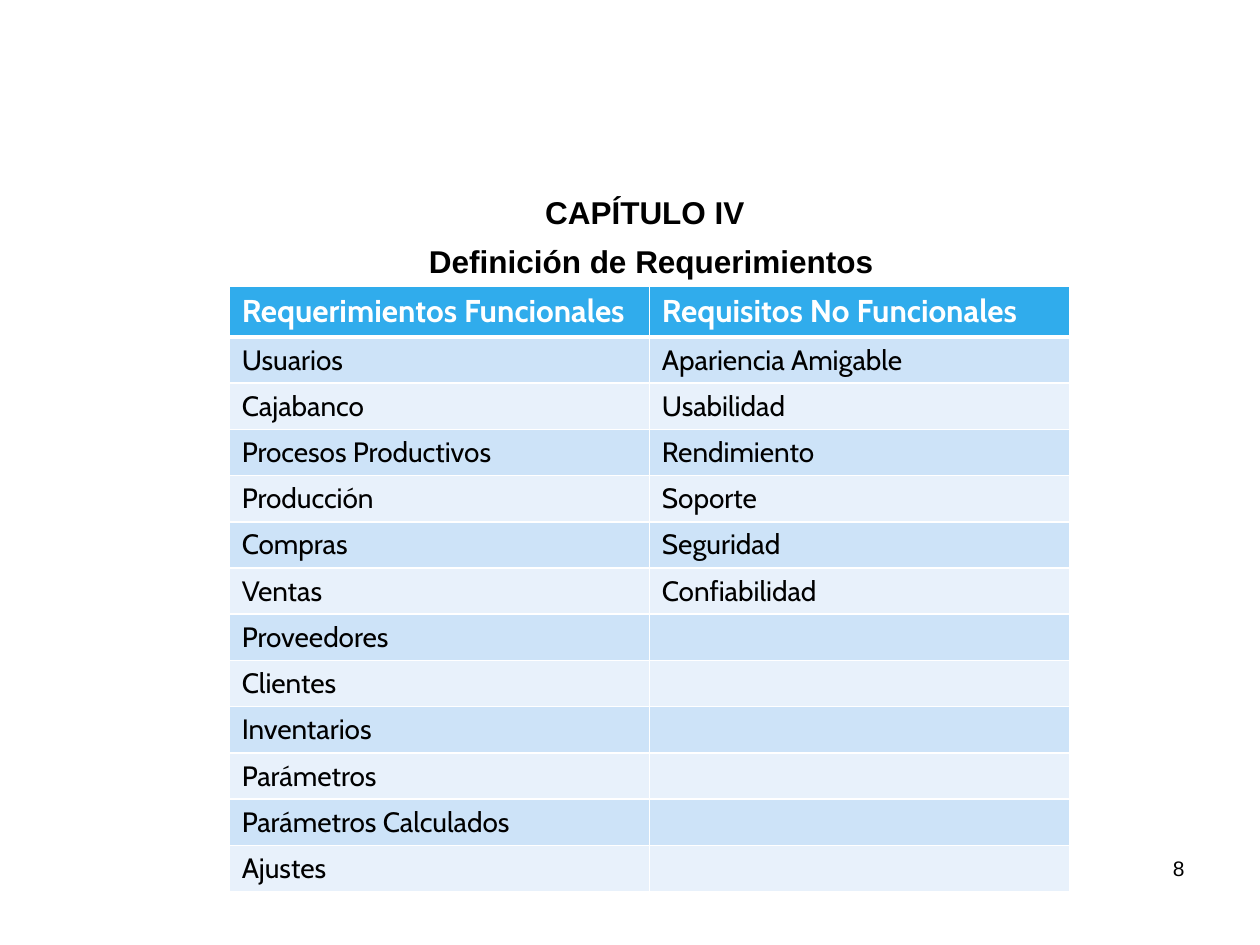
from itertools import zip_longest

from lxml.etree import SubElement
from pptx import Presentation
from pptx.dml.color import RGBColor
from pptx.enum.text import MSO_ANCHOR, PP_ALIGN
from pptx.oxml.ns import qn
from pptx.util import Cm, Pt

BLACK = RGBColor(0x00, 0x00, 0x00)
WHITE = RGBColor(0xFF, 0xFF, 0xFF)
HEADER_BLUE = RGBColor(0x30, 0xAC, 0xEC)
BAND_DARK = RGBColor(0xCD, 0xE3, 0xF8)
BAND_LIGHT = RGBColor(0xE8, 0xF1, 0xFB)

FUNCTIONAL = [
    "Requerimientos Funcionales", "Usuarios", "Cajabanco", "Procesos Productivos",
    "Producción", "Compras", "Ventas", "Proveedores", "Clientes", "Inventarios",
    "Parámetros", "Parámetros Calculados", "Ajustes",
]
NON_FUNCTIONAL = [
    "Requisitos No Funcionales", "Apariencia Amigable", "Usabilidad", "Rendimiento",
    "Soporte", "Seguridad", "Confiabilidad",
]


def add_span(para, text, font, size, color, bold=False):
    span = para.add_run()
    span.text = text
    span.font.name = font
    span.font.size = Pt(size)
    span.font.bold = bold
    span.font.color.rgb = color


def add_border(cell, side, points):
    """Draw a white line on one side of a cell: L, R, T or B."""
    line = SubElement(cell._tc.get_or_add_tcPr(), qn(f"a:ln{side}"), w=str(Pt(points)))
    fill = SubElement(line, qn("a:solidFill"))
    SubElement(fill, qn("a:srgbClr"), val=str(WHITE))


deck = Presentation()
deck.slide_width = Cm(25.4)
deck.slide_height = Cm(19.05)
page = deck.slides.add_slide(deck.slide_layouts[5])

# Headings and page number
title = page.shapes.title
title.left, title.top, title.width, title.height = Cm(9.19), Cm(3.76), Cm(7.62), Cm(1.02)
subtitle = page.shapes.add_textbox(Cm(6.78), Cm(4.75), Cm(12.7), Cm(1.02))
number = page.shapes.add_textbox(Cm(22.99), Cm(16.99), Cm(1.14), Cm(1.02))

for box, text, size, bold, align, anchor in [
    (title, "CAPÍTULO IV", 18, True, PP_ALIGN.CENTER, MSO_ANCHOR.TOP),
    (subtitle, "Definición de Requerimientos", 18, True, PP_ALIGN.CENTER, MSO_ANCHOR.TOP),
    (number, "8", 12, False, PP_ALIGN.RIGHT, MSO_ANCHOR.MIDDLE),
]:
    frame = box.text_frame
    frame.word_wrap = True
    frame.vertical_anchor = anchor
    para = frame.paragraphs[0]
    para.alignment = align
    add_span(para, text, "Arial", size, BLACK, bold)

# Requirements table
rows = list(zip_longest(FUNCTIONAL, NON_FUNCTIONAL, fillvalue=""))
table = page.shapes.add_table(
    len(rows), 2, Cm(4.62), Cm(5.77), Cm(16.94), Cm(12.18)
).table
for column in table.columns:
    column.width = Cm(8.47)

for row_index, texts in enumerate(rows):
    is_header = row_index == 0
    table.rows[row_index].height = Cm(1.02 if is_header else 0.93)
    if is_header:
        band = HEADER_BLUE
    else:
        band = BAND_DARK if row_index % 2 else BAND_LIGHT
    for column_index, text in enumerate(texts):
        cell = table.cell(row_index, column_index)
        add_border(cell, "L", 1)
        add_border(cell, "R", 1)
        add_border(cell, "T", 3 if row_index == 1 else 1)
        add_border(cell, "B", 3 if is_header else 1)
        cell.fill.solid()
        cell.fill.fore_color.rgb = band
        para = cell.text_frame.paragraphs[0]
        if is_header:
            add_span(para, text, "Cabin", 18, WHITE, bold=True)
        elif text:
            add_span(para, text, "Cabin", 16, BLACK)
        else:
            # An empty cell needs its own text size to keep the row height
            SubElement(para._p, qn("a:endParaRPr"), sz="1600")

deck.save("out.pptx")
